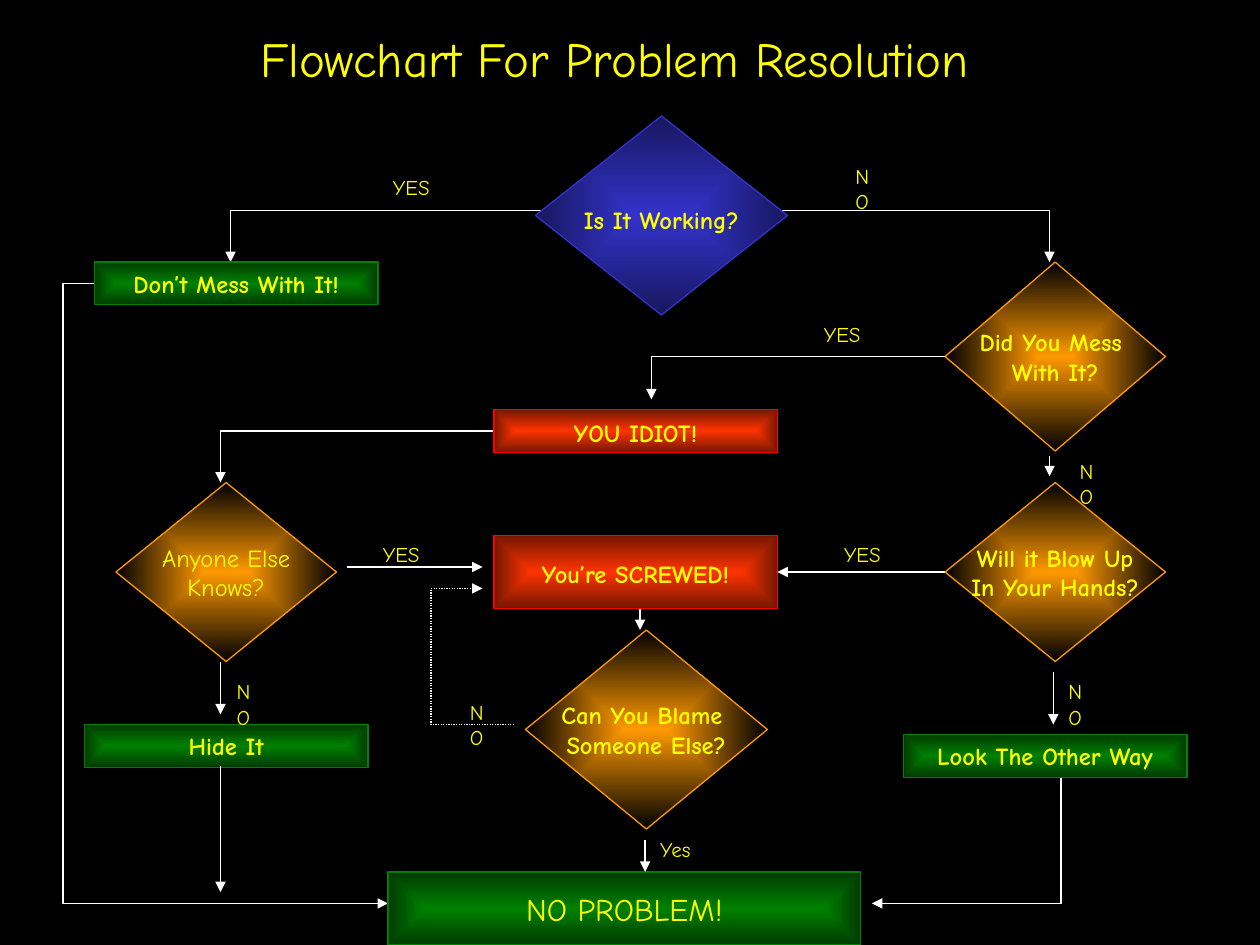
import pptx
import pptx.util
import lxml.etree
from pptx.dml.color import RGBColor
from pptx.enum.dml import MSO_LINE
from pptx.enum.shapes import MSO_CONNECTOR, MSO_SHAPE
from pptx.enum.text import MSO_ANCHOR, MSO_AUTO_SIZE, PP_ALIGN
from pptx.oxml.ns import qn
from pptx.util import Inches

FONT = "Comic Neue"
COLORS = {"background": "000000", "text": "FFFF00", "arrow": "FFFFFF"}
# Centre of the gradient, its edge, and the outline
STYLES = {
    "start": {"centre": "3333CC", "edge": "17175E", "outline": "3333CC"},
    "question": {"centre": "FF9900", "edge": "000000", "outline": "FF9900"},
    "good": {"centre": "008000", "edge": "003B00", "outline": "008000"},
    "bad": {"centre": "FF3300", "edge": "751700", "outline": "FF0000"},
}
QUESTION_W, QUESTION_H = 1.75, 1.42
ANSWER_W, ANSWER_H = 2.25, 0.34


def rgb(value):
    return RGBColor.from_string(value)


def write(frame, text, size=14, bold=False, align=PP_ALIGN.CENTER,
          anchor=MSO_ANCHOR.MIDDLE, wrap=False, spacing=None,
          auto_size=MSO_AUTO_SIZE.NONE):
    """Fill a text frame, one paragraph for each line of text."""
    frame.text = text
    frame.word_wrap = wrap
    frame.auto_size = auto_size
    frame.vertical_anchor = anchor
    for paragraph in frame.paragraphs:
        paragraph.alignment = align
        if spacing:
            paragraph.line_spacing = spacing
        for run in paragraph.runs:
            run.font.name = FONT
            run.font.size = pptx.util.Pt(size)
            run.font.bold = bold
            run.font.color.rgb = rgb(COLORS["text"])


def add_title(slide, box, text):
    title = slide.shapes.title
    title.left, title.top, title.width, title.height = map(Inches, box)
    write(title.text_frame, text, size=28, wrap=True)


def add_node(slide, geometry, box, text, style, bold=True, **text_format):
    """Place a flowchart box with a gradient that spreads from its centre."""
    node = slide.shapes.add_shape(geometry, *map(Inches, box))
    node.shadow.inherit = False
    palette = STYLES[style]
    node.line.color.rgb = rgb(palette["outline"])
    node.line.width = pptx.util.Pt(0.75)
    node.fill.gradient()
    for stop, part in zip(node.fill.gradient_stops, ("centre", "edge")):
        stop.color.rgb = rgb(palette[part])
    gradient = node._element.spPr.find(qn("a:gradFill"))
    gradient.remove(gradient.find(qn("a:lin")))
    spread = lxml.etree.SubElement(gradient, qn("a:path"), {"path": "rect"})
    lxml.etree.SubElement(spread, qn("a:fillToRect"),
                          dict.fromkeys("ltrb", "50000"))
    write(node.text_frame, text, bold=bold, **text_format)
    return node


def add_question(slide, left, top, text, style="question",
                 width=QUESTION_W, height=QUESTION_H, **text_format):
    return add_node(slide, MSO_SHAPE.DIAMOND, (left, top, width, height),
                    text, style, **text_format)


def add_answer(slide, left, top, text, style="good",
               width=ANSWER_W, height=ANSWER_H, **text_format):
    return add_node(slide, MSO_SHAPE.RECTANGLE, (left, top, width, height),
                    text, style, **text_format)


def add_label(slide, left, top, text):
    width = {"YES": 0.49, "NO": 0.41, "Yes": 0.45}[text]
    label = slide.shapes.add_textbox(*map(Inches, (left, top, width, 0.3)))
    write(label.text_frame, text, size=12, align=PP_ALIGN.LEFT,
          anchor=MSO_ANCHOR.TOP, auto_size=MSO_AUTO_SIZE.SHAPE_TO_FIT_TEXT)


def style_arrow(arrow, dotted=False):
    arrow.line.color.rgb = rgb(COLORS["arrow"])
    arrow.line.width = pptx.util.Pt(0.75)
    if dotted:
        arrow.line.dash_style = MSO_LINE.ROUND_DOT
    properties = arrow._element.spPr
    lxml.etree.SubElement(properties.find(qn("a:ln")), qn("a:tailEnd"),
                          {"type": "triangle"})
    lxml.etree.SubElement(properties, qn("a:effectLst"))


def add_arrow(slide, start, end):
    arrow = slide.shapes.add_connector(MSO_CONNECTOR.STRAIGHT,
                                       *map(Inches, start + end))
    style_arrow(arrow)
    return arrow


def add_route(slide, points, dotted=False):
    """Draw a bent arrow through the given points."""
    start, *rest = [tuple(map(Inches, point)) for point in points]
    builder = slide.shapes.build_freeform(*start)
    builder.add_line_segments(rest, close=False)
    route = builder.convert_to_shape()
    route.fill.background()
    style_arrow(route, dotted)


def add_flowchart(slide):
    # Bent arrows, behind the boxes
    for points in (
        [(4.33, 1.67), (1.83, 1.67), (1.83, 2.08)],
        [(6, 1.67), (8.33, 1.67), (8.33, 2.08)],
        [(7.67, 2.83), (5.17, 2.83), (5.17, 3.17)],
        [(4.25, 3.42), (1.75, 3.42), (1.75, 3.83)],
        [(0.78, 2.25), (0.5, 2.25), (0.5, 7.17), (3.08, 7.17)],
        [(8.42, 6.08), (8.42, 7.17), (6.92, 7.17)],
    ):
        add_route(slide, points)
    add_route(slide, [(4.08, 5.75), (3.42, 5.75), (3.42, 4.67), (3.83, 4.67)],
              dotted=True)

    # Questions
    add_question(slide, 4.25, 0.92, "Is It Working?", "start",
                 width=2, height=1.58, spacing=1.3)
    add_question(slide, 7.5, 2.08, "Did You Mess \nWith It?", height=1.5)
    blow_up = add_question(slide, 7.5, 3.83, "Will it Blow Up\nIn Your Hands?")
    add_question(slide, 0.92, 3.83, "Anyone Else\nKnows?", bold=False)
    add_question(slide, 4.17, 5, "Can You Blame \nSomeone Else?",
                 width=1.92, height=1.58)

    # Answers
    add_answer(slide, 0.75, 2.08, "Don’t Mess With It!")
    add_answer(slide, 3.92, 3.25, "YOU IDIOT!", "bad", spacing=1.1)
    screwed = add_answer(slide, 3.92, 4.25, "You’re SCREWED!", "bad",
                         height=0.58, spacing=1.1)
    add_answer(slide, 0.67, 5.75, "Hide It")
    add_answer(slide, 7.17, 5.83, "Look The Other Way")
    add_answer(slide, 3.08, 6.92, "NO PROBLEM!", width=3.75, height=0.58,
               size=18, bold=False)

    # Straight arrows
    for start, end in (
        ((8.33, 3.62), (8.33, 3.78)),
        ((2.75, 4.5), (3.83, 4.5)),
        ((5.08, 4.83), (5.08, 5)),
        ((1.75, 5.25), (1.75, 5.67)),
        ((8.36, 5.33), (8.36, 5.75)),
        ((1.75, 6.08), (1.75, 7.08)),
        ((5.12, 6.67), (5.12, 6.92)),
    ):
        add_arrow(slide, start, end)
    blow_up_yes = add_arrow(slide, (7.5, 4.54), (6.17, 4.54))
    blow_up_yes.begin_connect(blow_up, 1)
    blow_up_yes.end_connect(screwed, 3)

    # Branch labels
    for left, top, text in (
        (3.02, 1.34, "YES"), (6.69, 1.25, "NO"), (6.44, 2.5, "YES"),
        (8.47, 3.59, "NO"), (2.94, 4.25, "YES"), (6.6, 4.25, "YES"),
        (1.78, 5.34, "NO"), (8.38, 5.34, "NO"), (3.63, 5.5, "NO"),
        (5.14, 6.59, "Yes"),
    ):
        add_label(slide, left, top, text)


def main():
    deck = pptx.Presentation()
    deck.slide_width, deck.slide_height = Inches(10), Inches(7.5)
    slide = deck.slides.add_slide(deck.slide_layouts[5])
    slide.background.fill.solid()
    slide.background.fill.fore_color.rgb = rgb(COLORS["background"])
    add_title(slide, (0, 0.17, 9.75, 0.58), "Flowchart For Problem Resolution")
    add_flowchart(slide)
    deck.save("out.pptx")


if __name__ == "__main__":
    main()
